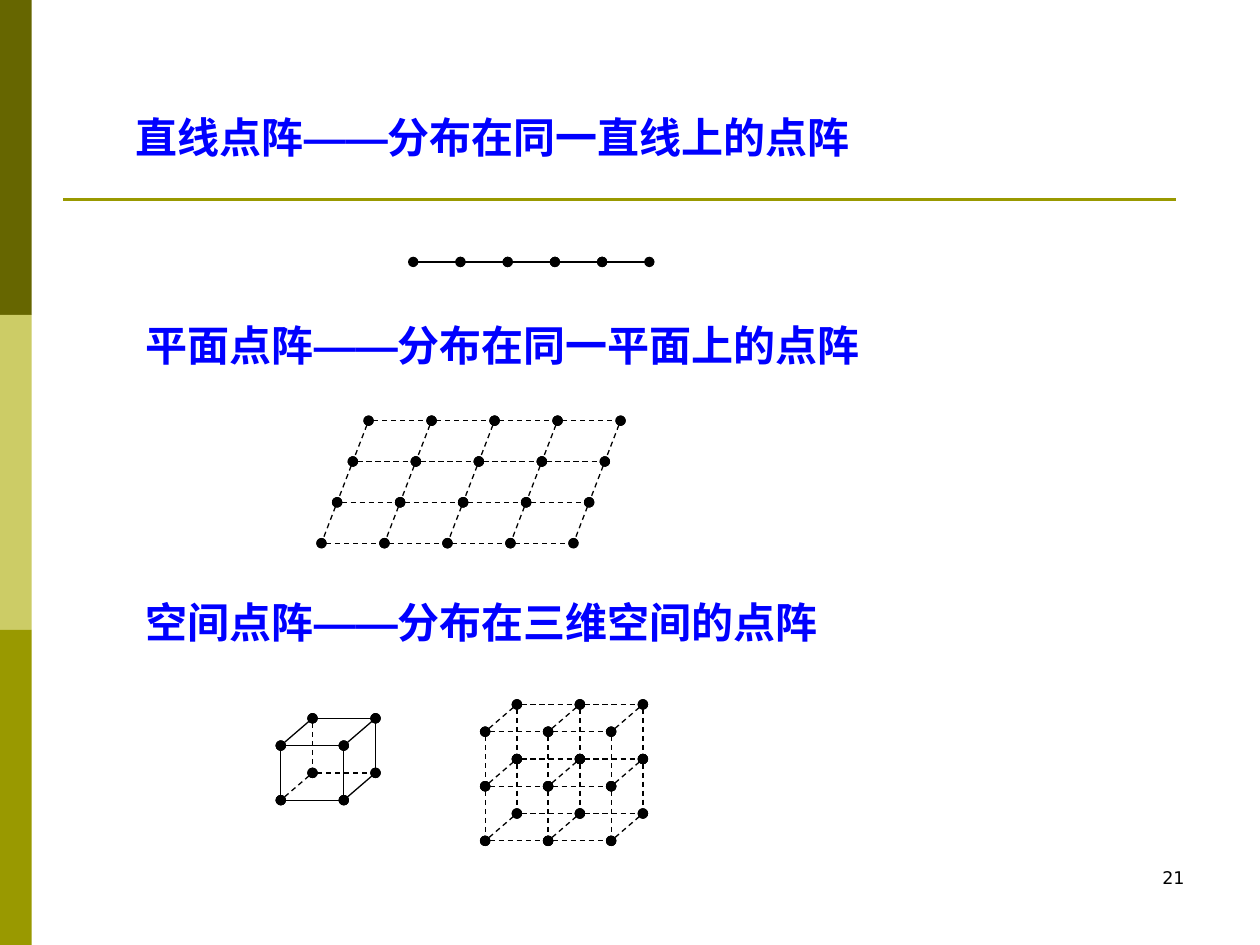
from dataclasses import dataclass
from itertools import product

from lxml.etree import SubElement
from pptx import Presentation
from pptx.dml.color import RGBColor
from pptx.enum.dml import MSO_LINE
from pptx.enum.shapes import MSO_CONNECTOR, MSO_SHAPE
from pptx.enum.text import MSO_AUTO_SIZE, PP_ALIGN
from pptx.oxml.ns import qn
from pptx.util import Cm, Pt


@dataclass(frozen=True)
class Theme:
    bars: tuple = ("666600", "CCCC66", "999900")
    rule: str = "999900"
    ink: str = "000000"
    head: str = "0000FF"
    han: str = "Noto Sans CJK SC"
    dash: str = "Arial"
    num: str = "DejaVu Sans"
    big: int = 24
    small: int = 10
    thin: float = 0.75
    bold: float = 1.5


THEME = Theme()


def rgb(code):
    return RGBColor.from_string(code)


def draw_line(shapes, start, end, color, width):
    line = shapes.add_connector(
        MSO_CONNECTOR.STRAIGHT, *(Cm(v) for v in (*start, *end)))
    line.line.color.rgb = rgb(color)
    line.line.width = Pt(width)
    SubElement(line._element.spPr, qn("a:effectLst"))
    return line


def draw_side(slide, box):
    """Stack the colour bars down the box."""
    left, top, width, height = box
    step = height / len(THEME.bars)
    for row, color in enumerate(THEME.bars):
        bar = slide.shapes.add_shape(
            MSO_SHAPE.RECTANGLE, Cm(left), Cm(top + row * step), Cm(width), Cm(step))
        bar.shadow.inherit = False
        bar.fill.solid()
        bar.fill.fore_color.rgb = rgb(color)
        bar.line.fill.background()


def draw_head(slide, box, term, gloss):
    """Write a term, a long dash and its meaning."""
    frame = slide.shapes.add_textbox(*(Cm(v) for v in box)).text_frame
    frame.word_wrap = False
    frame.auto_size = MSO_AUTO_SIZE.SHAPE_TO_FIT_TEXT
    para = frame.paragraphs[0]
    para.font.size = Pt(THEME.big)
    para.font.bold = True
    para.font.color.rgb = rgb(THEME.head)
    for text, face in ((term, THEME.han), ("——", THEME.dash), (gloss, THEME.han)):
        run = para.add_run()
        run.text = text
        run.font.name = face
        SubElement(run._r.rPr, qn("a:ea")).set("typeface", face)


def draw_page(slide, box, text):
    """Write the page number at the right of the box."""
    frame = slide.shapes.add_textbox(*(Cm(v) for v in box)).text_frame
    frame.word_wrap = True
    para = frame.paragraphs[0]
    para.text = text
    para.alignment = PP_ALIGN.RIGHT
    para.font.size = Pt(THEME.small)
    para.font.name = THEME.num
    para.font.color.rgb = rgb(THEME.ink)


def draw_net(slide, box, count, slant=(0, 0), dashed=lambda ends: True):
    """Fill the box with a lattice of across x down x deep nodes.

    The slant is the whole shift, left and down, from back to front.
    """
    left, top, width, height = box
    gaps = [max(n - 1, 1) for n in count]
    shift, drop = slant

    def spot(node):
        across, down, deep = (n / gap for n, gap in zip(node, gaps))
        return (left + shift * (1 - deep) + (width - shift) * across,
                top + drop * deep + (height - drop) * down)

    group = slide.shapes.add_group_shape()
    for node in product(*map(range, count)):
        for axis in range(3):
            if node[axis] + 1 == count[axis]:
                continue
            mate = tuple(n + (i == axis) for i, n in enumerate(node))
            edge = draw_line(group.shapes, spot(node), spot(mate), THEME.ink, THEME.thin)
            if dashed((node, mate)):
                edge.line.dash_style = MSO_LINE.DASH
            for tip in ("a:headEnd", "a:tailEnd"):
                SubElement(edge.line._get_or_add_ln(), qn(tip)).set("type", "oval")


def main():
    deck = Presentation()
    deck.slide_width, deck.slide_height = Cm(25.4), Cm(19.05)
    slide = deck.slides.add_slide(deck.slide_layouts[6])

    # Frame of the page
    draw_side(slide, (0, 0, 0.64, 19.05))
    draw_line(slide.shapes, (1.27, 4.02), (23.71, 4.02), THEME.rule, THEME.bold)
    draw_page(slide, (18.2, 17.36, 5.93, 1.27), "21")

    # Line lattice
    draw_net(slide, (8.33, 5.28, 4.76, 0), (6, 1, 1), dashed=lambda ends: False)
    draw_head(slide, (2.49, 2.13, 14.96, 1.27), "直线点阵", "分布在同一直线上的点阵")

    # Plane lattice
    draw_net(slide, (6.48, 8.48, 6.03, 2.47), (5, 1, 4), (0.95, 2.47))
    draw_head(slide, (2.69, 6.32, 14.96, 1.27), "平面点阵", "分布在同一平面上的点阵")

    # Space lattice: a unit cell, dashed at its hidden corner, and a block of cells
    slant = (0.64, 0.55)
    draw_net(slide, (5.66, 14.48, 1.91, 1.65), (2, 2, 2), slant,
             lambda ends: (0, 1, 0) in ends)
    draw_net(slide, (9.78, 14.2, 3.18, 2.75), (3, 3, 2), slant)
    draw_head(slide, (2.69, 11.91, 14.12, 1.27), "空间点阵", "分布在三维空间的点阵")

    deck.save("out.pptx")


if __name__ == "__main__":
    main()
